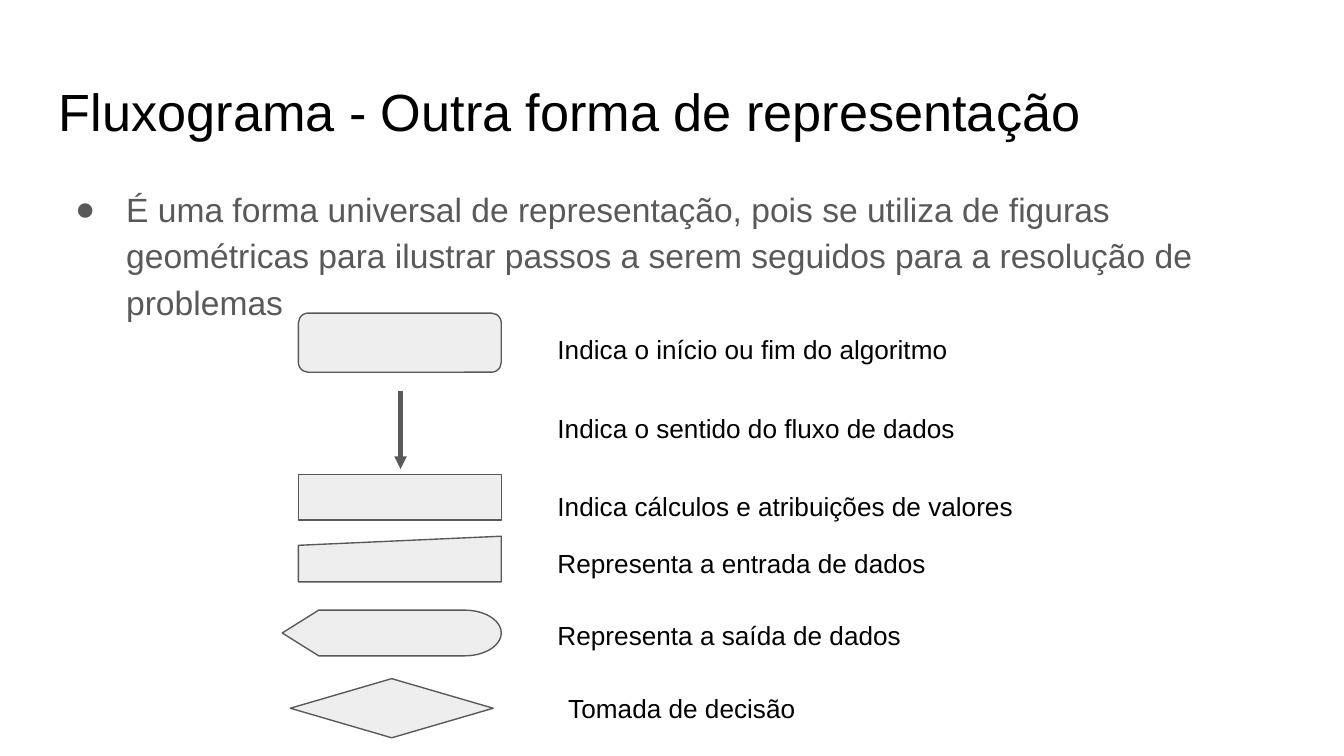
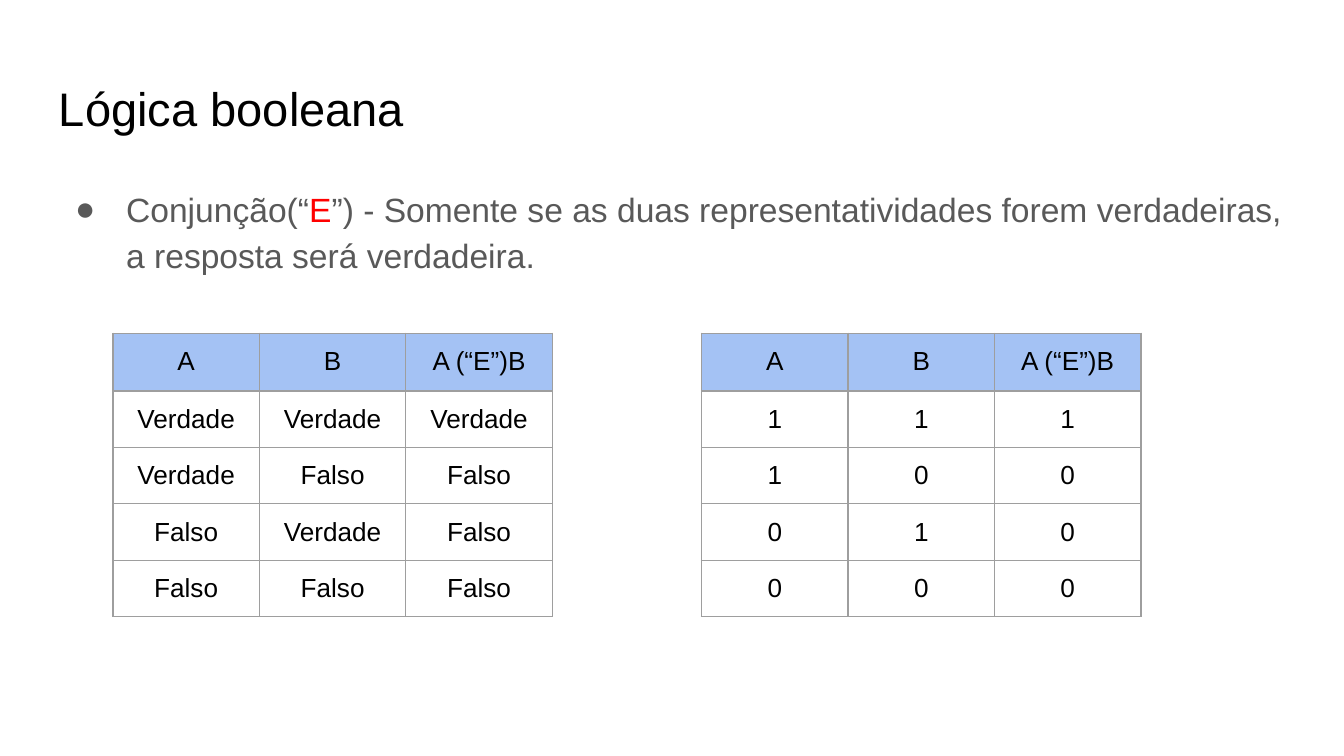
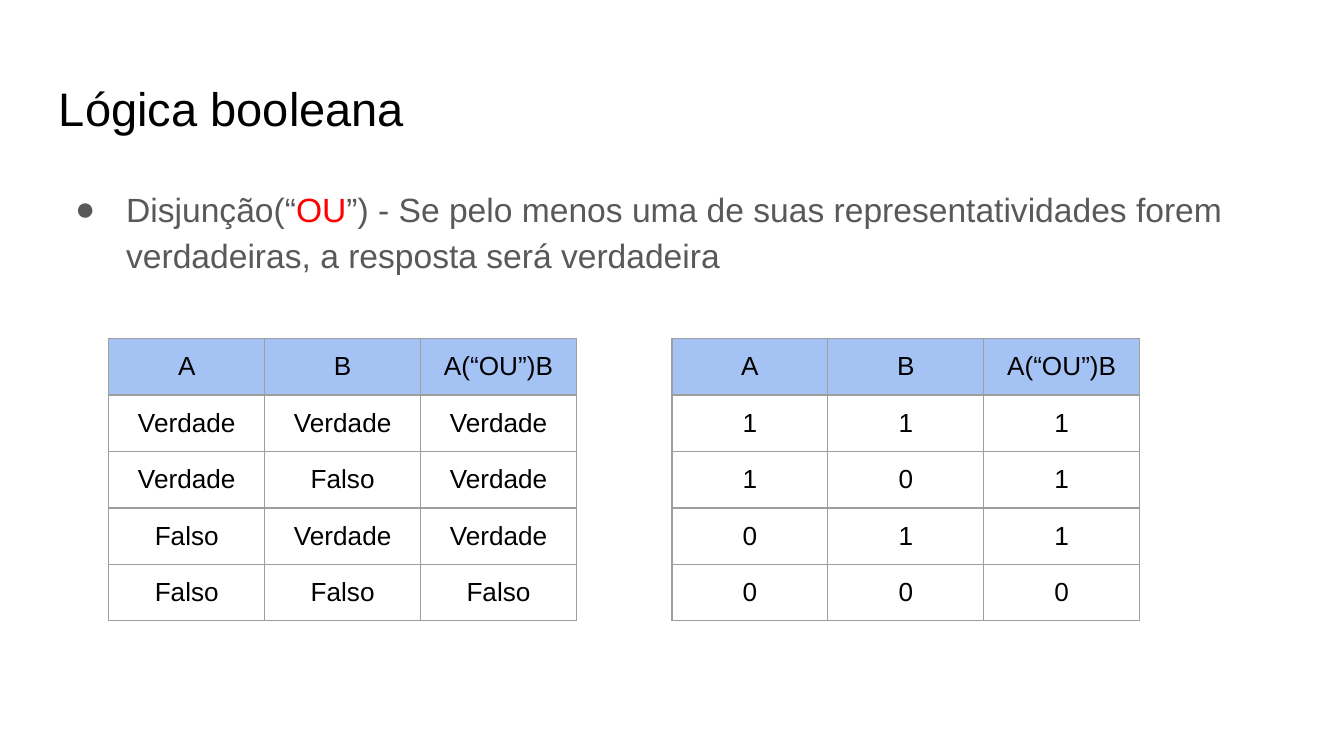
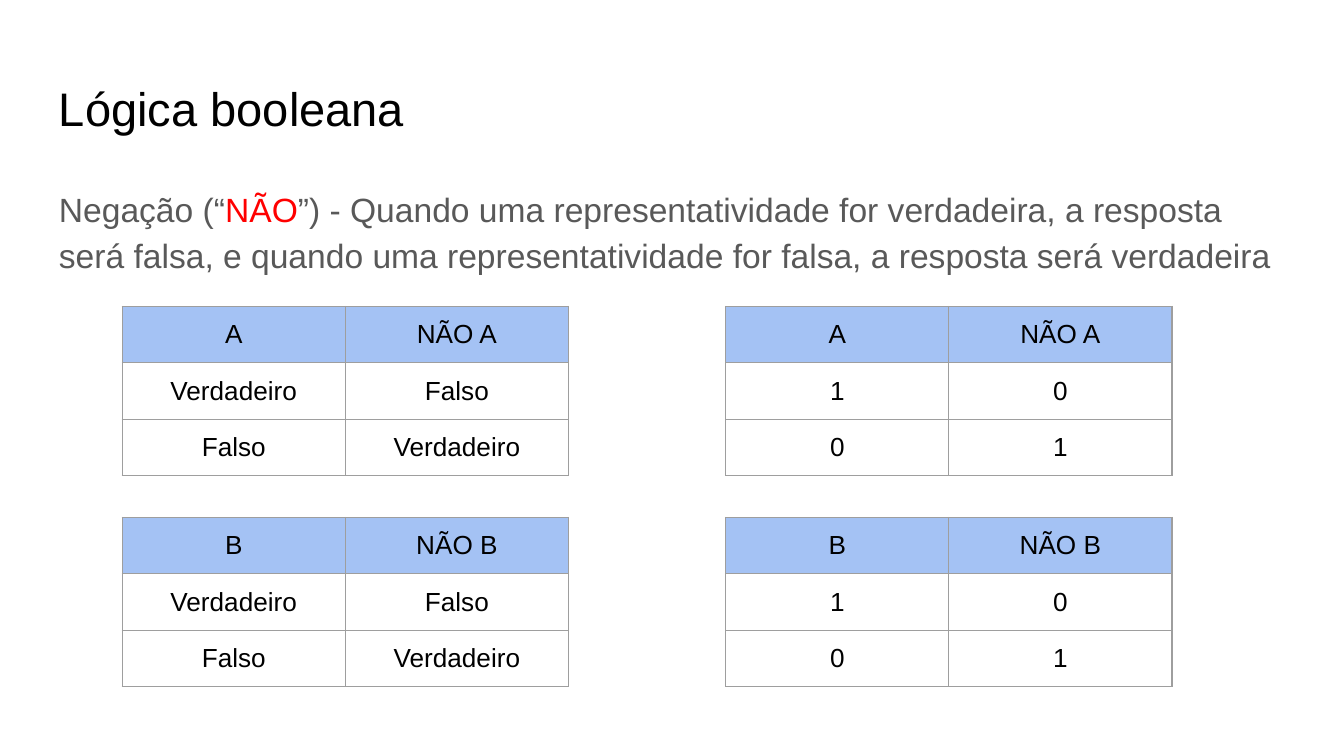
import itertools
from dataclasses import dataclass
from typing import Callable

import lxml.etree
import pptx
import pptx.dml.color
import pptx.enum.shapes
import pptx.enum.text
import pptx.oxml
import pptx.oxml.ns
import pptx.slide
import pptx.table
import pptx.text.text
import pptx.util
from pptx.dml.color import RGBColor
from pptx.util import Inches

BLACK = RGBColor(0x00, 0x00, 0x00)
GRAY = RGBColor(0x59, 0x59, 0x59)
RED = RGBColor(0xFF, 0x00, 0x00)
SYMBOL_FILL = RGBColor(0xEE, 0xEE, 0xEE)
HEADER_FILL = RGBColor(0xA4, 0xC2, 0xF4)
BORDER = RGBColor(0x9E, 0x9E, 0x9E)

FONT = "Arial"
SLIDE_WIDTH = Inches(10)
SLIDE_HEIGHT = SLIDE_WIDTH * 9 // 16
MARGIN = Inches(0.1)
CELL_BOTTOM_MARGIN = Inches(0.08)
CONTENT_LEFT = Inches(0.34)
CONTENT_WIDTH = Inches(9.32)
ROW_HEIGHT = Inches(0.42)
SHAPES = pptx.enum.shapes.MSO_SHAPE


@dataclass(frozen=True)
class Symbol:
    kind: pptx.enum.shapes.MSO_SHAPE
    left: float
    top: float
    width: float
    height: float


@dataclass(frozen=True)
class Label:
    text: str
    top: float
    width: float = 3.77
    left: float = 4.05


@dataclass(frozen=True)
class TruthTable:
    inputs: tuple[str, ...]
    result: str
    operation: Callable[..., bool]
    true_text: str
    false_text: str
    left: float
    top: float
    column_width: float
    header_height: float = 0.42

    def rows(self) -> list[list[str]]:
        rows = [[*self.inputs, self.result]]
        for values in itertools.product((True, False), repeat=len(self.inputs)):
            cells = (*values, self.operation(*values))
            rows.append([self.true_text if value else self.false_text for value in cells])
        return rows


@dataclass(frozen=True)
class LogicSlide:
    before: str
    operator: str
    after: str
    bulleted: bool
    tables: list[TruthTable]


SYMBOLS = [
    Symbol(SHAPES.ROUNDED_RECTANGLE, 2.22, 2.33, 1.51, 0.44),
    Symbol(SHAPES.RECTANGLE, 2.22, 3.53, 1.51, 0.34),
    Symbol(SHAPES.FLOWCHART_MANUAL_INPUT, 2.22, 3.99, 1.51, 0.34),
    Symbol(SHAPES.FLOWCHART_DISPLAY, 2.1, 4.54, 1.63, 0.34),
    Symbol(SHAPES.DIAMOND, 2.16, 5.05, 1.51, 0.44),
]

LABELS = [
    Label("Indica o início ou fim do algoritmo", 2.38, 3.36),
    Label("Indica o sentido do fluxo de dados", 2.97, 3.36),
    Label("Indica cálculos e atribuições de valores", 3.55),
    Label("Representa a entrada de dados", 3.97),
    Label("Representa a saída de dados", 4.51),
    Label("Tomada de decisão", 5.05, left=4.13),
]


def conjunction(a: bool, b: bool) -> bool:
    return a and b


def disjunction(a: bool, b: bool) -> bool:
    return a or b


def negation(a: bool) -> bool:
    return not a


LOGIC_SLIDES = [
    LogicSlide(
        "Conjunção(“",
        "E",
        "”) - Somente se as duas representatividades forem verdadeiras, "
        "a resposta será verdadeira.",
        True,
        [
            TruthTable(("A", "B"), "A (“E”)B", conjunction, *texts, left, 2.48, 1.09, 0.43)
            for left, texts in ((0.84, ("Verdade", "Falso")), (5.22, ("1", "0")))
        ],
    ),
    LogicSlide(
        "Disjunção(“",
        "OU",
        "”) - Se pelo menos uma de suas representatividades forem verdadeiras, "
        "a resposta será verdadeira",
        True,
        [
            TruthTable(("A", "B"), "A(“OU”)B", disjunction, *texts, left, 2.52, 1.16)
            for left, texts in ((0.81, ("Verdade", "Falso")), (5.0, ("1", "0")))
        ],
    ),
    LogicSlide(
        "Negação (“",
        "NÃO",
        "”) - Quando uma representatividade for verdadeira, a resposta será falsa, "
        "e quando uma representatividade for falsa, a resposta será verdadeira",
        False,
        [
            TruthTable((name,), f"NÃO {name}", negation, *texts, left, top, 1.66)
            for left, texts in ((0.91, ("Verdadeiro", "Falso")), (5.4, ("1", "0")))
            for name, top in (("A", 2.28), ("B", 3.85))
        ],
    ),
]


def add_child(parent: lxml.etree._Element, tag: str, **attributes: str) -> lxml.etree._Element:
    return lxml.etree.SubElement(parent, pptx.oxml.ns.qn(tag), attributes)


def format_run(run: pptx.text.text._Run, size: float, color: RGBColor) -> None:
    run.font.name = FONT
    run.font.size = pptx.util.Pt(size)
    run.font.color.rgb = color


def add_text_box(
    slide: pptx.slide.Slide,
    left: int,
    top: int,
    width: int,
    height: int,
    text: str,
    size: float,
) -> pptx.text.text._Paragraph:
    text_frame = slide.shapes.add_textbox(left, top, width, height).text_frame
    text_frame.word_wrap = True
    text_frame.margin_left = text_frame.margin_right = MARGIN
    text_frame.margin_top = text_frame.margin_bottom = MARGIN
    text_frame.text = text
    paragraph = text_frame.paragraphs[0]
    for run in paragraph.runs:
        format_run(run, size, BLACK)
    return paragraph


def add_title(slide: pptx.slide.Slide, text: str, size: float) -> None:
    add_text_box(slide, CONTENT_LEFT, Inches(0.49), CONTENT_WIDTH, Inches(0.63), text, size)


def add_body(
    slide: pptx.slide.Slide, parts: list[tuple[str, RGBColor]], bulleted: bool
) -> None:
    paragraph = add_text_box(
        slide, CONTENT_LEFT, Inches(1.26), CONTENT_WIDTH, Inches(3.74), "", 18
    )
    if bulleted:
        properties = paragraph._p.get_or_add_pPr()
        properties.set("marL", str(Inches(0.5)))
        properties.set("indent", str(Inches(-0.38)))
        add_child(add_child(properties, "a:buClr"), "a:srgbClr", val=str(GRAY))
        add_child(properties, "a:buFont", typeface=FONT)
        add_child(properties, "a:buChar", char="●")
    else:
        paragraph.space_after = pptx.util.Pt(12)
    paragraph.line_spacing = 1.15
    for text, color in parts:
        run = paragraph.add_run()
        run.text = text
        format_run(run, 18, color)


def add_symbol(slide: pptx.slide.Slide, symbol: Symbol) -> None:
    shape = slide.shapes.add_shape(
        symbol.kind,
        Inches(symbol.left),
        Inches(symbol.top),
        Inches(symbol.width),
        Inches(symbol.height),
    )
    shape.shadow.inherit = False
    shape.fill.solid()
    shape.fill.fore_color.rgb = SYMBOL_FILL
    shape.line.color.rgb = GRAY
    shape.line.width = pptx.util.Pt(0.75)


def add_flow_arrow(slide: pptx.slide.Slide) -> None:
    arrow = slide.shapes.add_connector(
        pptx.enum.shapes.MSO_CONNECTOR.STRAIGHT,
        Inches(2.98),
        Inches(2.91),
        Inches(2.98),
        Inches(3.49),
    )
    arrow.line.color.rgb = GRAY
    arrow.line.width = pptx.util.Pt(2.25)
    add_child(arrow.line._get_or_add_ln(), "a:tailEnd", type="triangle")
    add_child(arrow._element.spPr, "a:effectLst")


def format_cell(cell: pptx.table._Cell, is_header: bool) -> None:
    cell.margin_left = cell.margin_right = cell.margin_top = MARGIN
    cell.margin_bottom = CELL_BOTTOM_MARGIN
    properties = cell._tc.get_or_add_tcPr()
    for side in ("a:lnL", "a:lnR", "a:lnT", "a:lnB"):
        border = add_child(properties, side, w=str(pptx.util.Pt(0.75)))
        add_child(add_child(border, "a:solidFill"), "a:srgbClr", val=str(BORDER))
    if is_header:
        cell.fill.solid()
        cell.fill.fore_color.rgb = HEADER_FILL
    else:
        cell.fill.background()
    paragraph = cell.text_frame.paragraphs[0]
    paragraph.alignment = pptx.enum.text.PP_ALIGN.CENTER
    format_run(paragraph.runs[0], 14, BLACK)


def add_truth_table(slide: pptx.slide.Slide, truth_table: TruthTable) -> None:
    rows = truth_table.rows()
    column_width = Inches(truth_table.column_width)
    table = slide.shapes.add_table(
        len(rows),
        len(rows[0]),
        Inches(truth_table.left),
        Inches(truth_table.top),
        column_width * len(rows[0]),
        ROW_HEIGHT * len(rows),
    ).table
    table.first_row = False
    table.horz_banding = False
    table.rows[0].height = Inches(truth_table.header_height)
    for row_index, row_texts in enumerate(rows):
        for column_index, text in enumerate(row_texts):
            cell = table.cell(row_index, column_index)
            cell.text_frame.text = text
            format_cell(cell, row_index == 0)


def build_flowchart_slide(slide: pptx.slide.Slide) -> None:
    add_title(slide, "Fluxograma - Outra forma de representação", 28)
    description = (
        "É uma forma universal de representação, pois se utiliza de figuras geométricas "
        "para ilustrar passos a serem seguidos para a resolução de problemas"
    )
    add_body(slide, [(description, GRAY)], True)
    for symbol in SYMBOLS:
        add_symbol(slide, symbol)
    add_flow_arrow(slide)
    for label in LABELS:
        add_text_box(
            slide,
            Inches(label.left),
            Inches(label.top),
            Inches(label.width),
            Inches(0.44),
            label.text,
            14,
        )


def build_logic_slide(slide: pptx.slide.Slide, content: LogicSlide) -> None:
    add_title(slide, "Lógica booleana", 25.2)
    parts = [(content.before, GRAY), (content.operator, RED), (content.after, GRAY)]
    add_body(slide, parts, content.bulleted)
    for truth_table in content.tables:
        add_truth_table(slide, truth_table)


def main() -> None:
    presentation = pptx.Presentation()
    presentation.slide_width = SLIDE_WIDTH
    presentation.slide_height = SLIDE_HEIGHT
    blank_layout = presentation.slide_layouts[6]
    build_flowchart_slide(presentation.slides.add_slide(blank_layout))
    for content in LOGIC_SLIDES:
        build_logic_slide(presentation.slides.add_slide(blank_layout), content)
    presentation.save("out.pptx")


if __name__ == "__main__":
    main()
